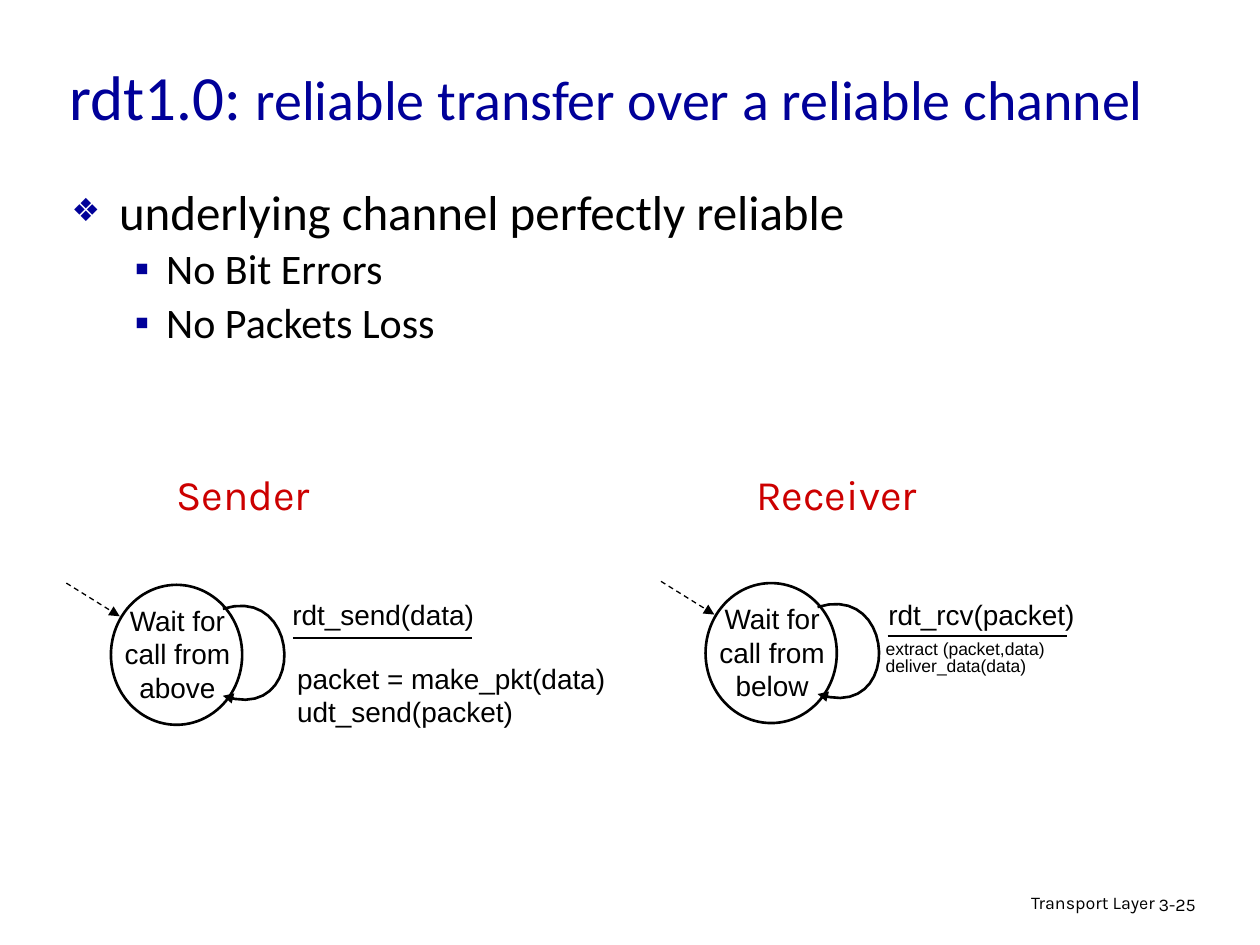
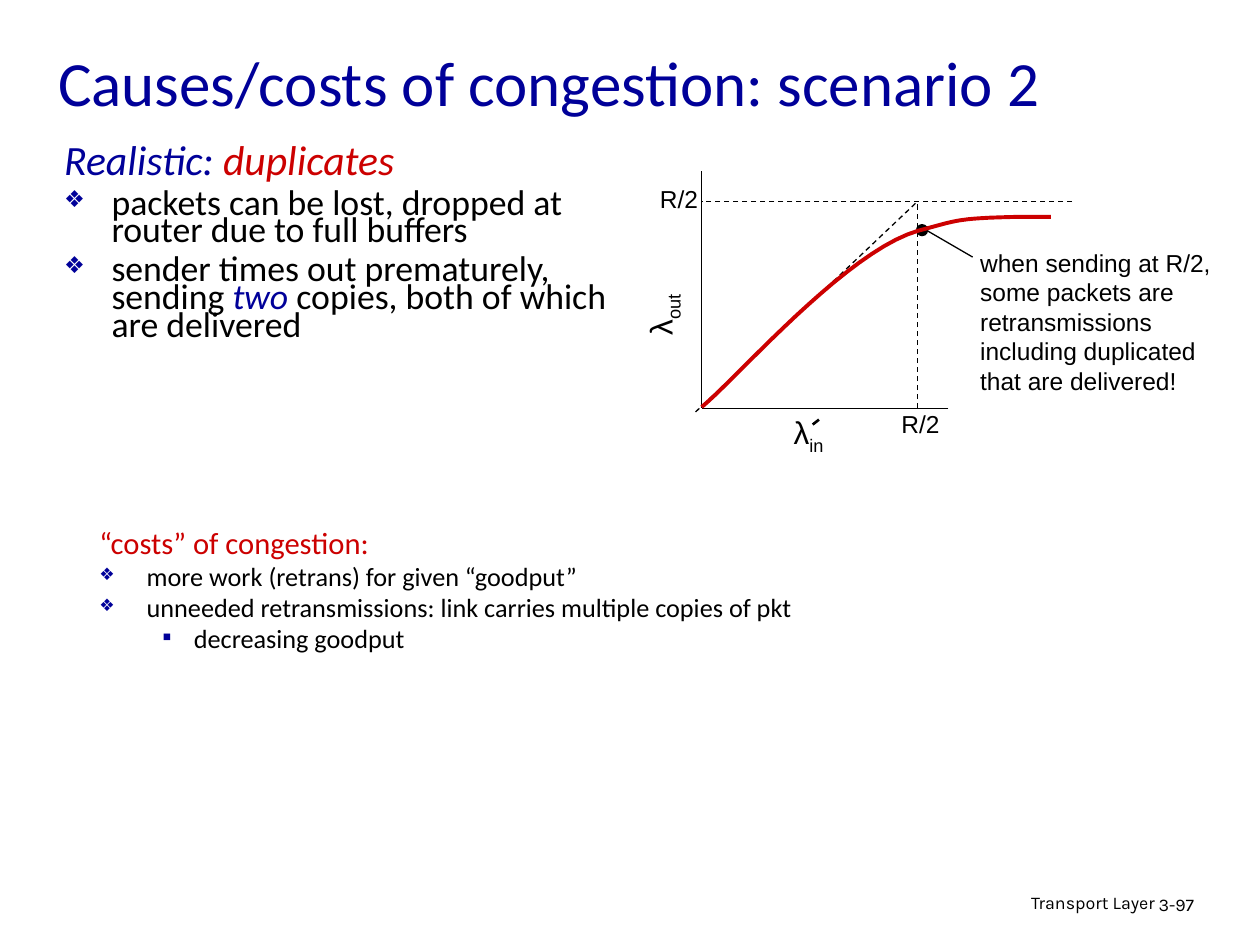
import dataclasses

import pptx
import pptx.dml.color
import pptx.enum.dml
import pptx.enum.shapes
import pptx.enum.text
import pptx.oxml.ns
import pptx.oxml.xmlchemy
import pptx.util
from lxml import etree

Pt = pptx.util.Pt
Align = pptx.enum.text.PP_ALIGN
qn = pptx.oxml.ns.qn

BLACK, BLUE, RED, WHITE = "000000", "000099", "CC0000", "FFFFFF"
BODY_FONT, DIAGRAM_FONT, LABEL_FONT = "Calibri", "Arial", "Karla"
TITLE_SIZE = 36
FOOTER_SIZE = 10.2
# Per list level: bullet, its size in percent, left margin, hanging indent
BULLETS = [("❖", 65, 27, 27), ("▪", 100, 54, 18)]


@dataclasses.dataclass
class Piece:
    """A run of text; a size of None takes the size of its line."""
    text: str
    color: str = BLACK
    size: float = None
    italic: bool = False
    subscript: bool = False


@dataclasses.dataclass
class Item:
    """A line of a list."""
    pieces: list
    size: float
    level: int = 0
    before: float = 6
    bulleted: bool = True


def rgb(color):
    return pptx.dml.color.RGBColor.from_string(color)


def add_pieces(paragraph, pieces, size, font):
    for piece in pieces:
        run = paragraph.add_run()
        run.text = piece.text
        run.font.name = font
        run.font.size = Pt(piece.size or size)
        run.font.italic = piece.italic
        run.font.color.rgb = rgb(piece.color)
        if piece.subscript:
            run.font._element.set("baseline", "-25000")


def add_bullet(paragraph, item):
    character, percent, margin, hanging = BULLETS[item.level]
    properties = paragraph._p.get_or_add_pPr()
    properties.set("marL", str(Pt(margin)))
    properties.set("indent", str(-Pt(hanging)))
    if not item.bulleted:
        etree.SubElement(properties, qn("a:buNone"))
        return
    bullet_color = etree.SubElement(properties, qn("a:buClr"))
    etree.SubElement(bullet_color, qn("a:srgbClr"), val=BLUE)
    etree.SubElement(properties, qn("a:buSzPct"), val=str(percent * 1000))
    etree.SubElement(properties, qn("a:buFont"), typeface=DIAGRAM_FONT)
    etree.SubElement(properties, qn("a:buChar"), char=character)


def place(shape, left, top, width, height):
    shape.left, shape.top = Pt(left), Pt(top)
    shape.width, shape.height = Pt(width), Pt(height)


def fill_list(text_frame, items, spacing):
    text_frame.word_wrap = True
    text_frame.auto_size = pptx.enum.text.MSO_AUTO_SIZE.NONE
    for index, item in enumerate(items):
        paragraph = text_frame.add_paragraph() if index else text_frame.paragraphs[0]
        paragraph.level = item.level
        add_bullet(paragraph, item)
        paragraph.line_spacing = spacing
        paragraph.space_before = Pt(item.before if index else 0)
        add_pieces(paragraph, item.pieces, item.size, BODY_FONT)


def add_text(slide, box, lines, size, font=DIAGRAM_FONT, align=Align.LEFT, spacing=1.0):
    """Add a text box; each line is a string or a list of pieces."""
    shape = slide.shapes.add_textbox(*map(Pt, box))
    frame = shape.text_frame
    frame.word_wrap = True
    for index, line in enumerate(lines):
        paragraph = frame.add_paragraph() if index else frame.paragraphs[0]
        paragraph.alignment = align
        paragraph.line_spacing = spacing
        pieces = [Piece(line)] if isinstance(line, str) else line
        add_pieces(paragraph, pieces, size, font)
    return shape


def style_line(shape, color, width, dashed=False, arrow=False):
    shape.line.color.rgb = rgb(color)
    shape.line.width = Pt(width)
    if dashed:
        shape.line.dash_style = pptx.enum.dml.MSO_LINE.DASH
    if arrow:
        etree.SubElement(shape.line._get_or_add_ln(), qn("a:tailEnd"), type="triangle")


def add_line(slide, start, end, width=0.75, dashed=False, arrow=False):
    connector = slide.shapes.add_connector(
        pptx.enum.shapes.MSO_CONNECTOR.STRAIGHT, *map(Pt, start + end))
    style_line(connector, BLACK, width, dashed, arrow)
    etree.SubElement(connector._element.spPr, qn("a:effectLst"))


def add_circle(slide, box, fill):
    circle = slide.shapes.add_shape(pptx.enum.shapes.MSO_SHAPE.OVAL, *map(Pt, box))
    circle.shadow.inherit = False
    circle.fill.solid()
    circle.fill.fore_color.rgb = rgb(fill)
    return circle


def bezier_points(start, control_1, control_2, end, steps=20):
    """Points along a cubic curve, without its start."""
    for step in range(1, steps + 1):
        t = step / steps
        weights = ((1 - t) ** 3, 3 * t * (1 - t) ** 2, 3 * t * t * (1 - t), t ** 3)
        yield tuple(
            sum(weight * value for weight, value in zip(weights, axis))
            for axis in zip(start, control_1, control_2, end))


def add_curve(slide, start, segments, color, width, arrow=False):
    points = [start]
    for segment in segments:
        points.extend(bezier_points(points[-1], *segment))
    corners = [(Pt(x), Pt(y)) for x, y in points]
    builder = slide.shapes.build_freeform(*corners[0])
    builder.add_line_segments(corners[1:], close=False)
    curve = builder.convert_to_shape()
    curve.shadow.inherit = False
    curve.fill.background()
    style_line(curve, color, width, arrow=arrow)


def add_slide(presentation, title_box, title_pieces, body_box, items, spacing, number):
    slide = presentation.slides.add_slide(presentation.slide_layouts[1])
    title, body = slide.placeholders
    place(title, *title_box)
    frame = title.text_frame
    frame.auto_size = pptx.enum.text.MSO_AUTO_SIZE.NONE
    frame.vertical_anchor = pptx.enum.text.MSO_ANCHOR.MIDDLE
    frame.paragraphs[0].alignment = Align.LEFT
    add_pieces(frame.paragraphs[0], title_pieces, TITLE_SIZE, BODY_FONT)
    place(body, *body_box)
    fill_list(body.text_frame, items, spacing)
    add_text(slide, (439, 507.6, 228, 22), ["Transport Layer"], FOOTER_SIZE,
             LABEL_FONT, Align.RIGHT, 0.9)
    add_text(slide, (655, 508.5, 53, 22), [number], FOOTER_SIZE, LABEL_FONT, spacing=0.9)
    return slide


def add_state(slide, left, top, name):
    """One state with its entry arrow, its loop and the rule under its event."""
    def at(x, y):
        return left + x, top + y

    circle = add_circle(slide, at(0, 0) + (75, 80), WHITE)
    style_line(circle, BLACK, 1.5)
    add_text(slide, at(-5, 7) + (86, 72), [name], 16, align=Align.CENTER)
    add_curve(slide, at(64, 13.7), [(at(109.4, -0.7), at(112.3, 80), at(64, 63.4))],
              BLACK, 1.5, arrow=True)
    add_line(slide, at(104, 30.3), at(206.3, 30.3), 1.5)
    add_line(slide, at(-25.5, -1), at(5, 18), dashed=True, arrow=True)


def build_rdt_slide(presentation):
    slide = add_slide(
        presentation,
        (32.4, 15, 630, 79),
        [Piece("rdt1.0: ", BLUE), Piece("reliable transfer over a reliable channel", BLUE, 32)],
        (33.8, 105, 622, 238),
        [Item([Piece("underlying channel perfectly reliable")], 28),
         Item([Piece("No Bit Errors")], 24, level=1),
         Item([Piece("No Packets Loss")], 24, level=1)],
        0.85, "3-25")
    add_state(slide, 63.4, 334.2, "Wait for call from above")
    add_state(slide, 403.2, 333.2, "Wait for call from below")
    for left, event in ((160, "rdt_send(data)"), (500.5, "rdt_rcv(packet)")):
        add_text(slide, (left, 337.7, 178, 27), [event], 16)
    add_text(slide, (162.7, 374.4, 211, 47),
             ["packet = make_pkt(data)", "udt_send(packet)"], 16)
    add_text(slide, (499, 363.6, 196, 34),
             ["extract (packet,data)", "deliver_data(data)"], 10, spacing=0.8)
    for left, role in ((79, "Sender"), (418, "Receiver")):
        add_text(slide, (left, 264, 120, 36), [[Piece(role, RED)]], 24,
                 LABEL_FONT, Align.CENTER)


def add_throughput_graph(slide):
    origin_x, origin_y = 401, 233.3
    limit_x, limit_y = 524.2, 115.2
    add_line(slide, (origin_x, 98), (origin_x, origin_y))
    add_line(slide, (542, origin_y), (origin_x, origin_y))
    add_line(slide, (612.7, limit_y), (origin_x, limit_y), dashed=True)
    add_line(slide, (397.5, 235.4), (limit_x, limit_y), dashed=True)
    add_line(slide, (limit_x, origin_y), (limit_x, limit_y), dashed=True)
    add_circle(slide, (523.4, 128, 7, 7), BLACK).line.fill.background()
    add_line(slide, (555.8, 146.9), (525, 129), arrow=True)
    add_curve(slide, (origin_x, 232.6),
              [((421.2, 216), (483.8, 143.3), (524.9, 131.8)),
               ((547.2, 126), (545.8, 124.6), (583.9, 123.9)),
               ((600.5, 123.9), (596.9, 123.9), (600.5, 123.9))],
              RED, 2.25)
    for left, top in ((370, 101.7), (508, 230.4)):
        add_text(slide, (left, top, 46, 24), ["R/2"], 14)
    output_rate = add_text(slide, (354.2, 158.4, 49, 31.7),
                           [[Piece("λ"), Piece("out", subscript=True)]], 18)
    output_rate.rotation = 270
    add_text(slide, (446.4, 232.6, 42, 31.7),
             [[Piece("λ"), Piece("in", subscript=True)]], 18)
    add_line(slide, (464.4, 242.6), (468, 239.8), 1.5)
    add_text(slide, (553, 138.2, 148.3, 91.4),
             ["when sending at R/2, some packets are retransmissions "
              "including duplicated that are delivered!"], 14)


def build_congestion_slide(presentation):
    slide = add_slide(
        presentation,
        (26, 12, 612, 68.4),
        [Piece("Causes/costs of congestion: scenario 2", BLUE)],
        (29.5, 82, 339, 151),
        [Item([Piece("Realistic: ", BLUE, italic=True),
               Piece("duplicates", RED, italic=True)], 23.8, bulleted=False),
         Item([Piece("packets can be lost, dropped at router due to full buffers")], 20.4),
         Item([Piece("sender times out prematurely, sending "),
               Piece("two ", BLUE, italic=True),
               Piece("copies, both of which are delivered")], 20.4)],
        0.65, "3-97")
    add_throughput_graph(slide)
    costs = slide.shapes.add_textbox(Pt(49.7), Pt(302.4), Pt(641.5), Pt(78))
    fill_list(costs.text_frame, [
        Item([Piece("“costs” of congestion:", RED)], 17.5, bulleted=False),
        Item([Piece("more work (retrans) for given “goodput”")], 15),
        Item([Piece("unneeded retransmissions: link carries multiple copies of pkt")], 15),
        Item([Piece("decreasing goodput")], 15, level=1),
    ], 0.65)


def main():
    presentation = pptx.Presentation()
    presentation.slide_width, presentation.slide_height = Pt(720), Pt(540)
    build_rdt_slide(presentation)
    build_congestion_slide(presentation)
    presentation.save("out.pptx")


if __name__ == "__main__":
    main()
